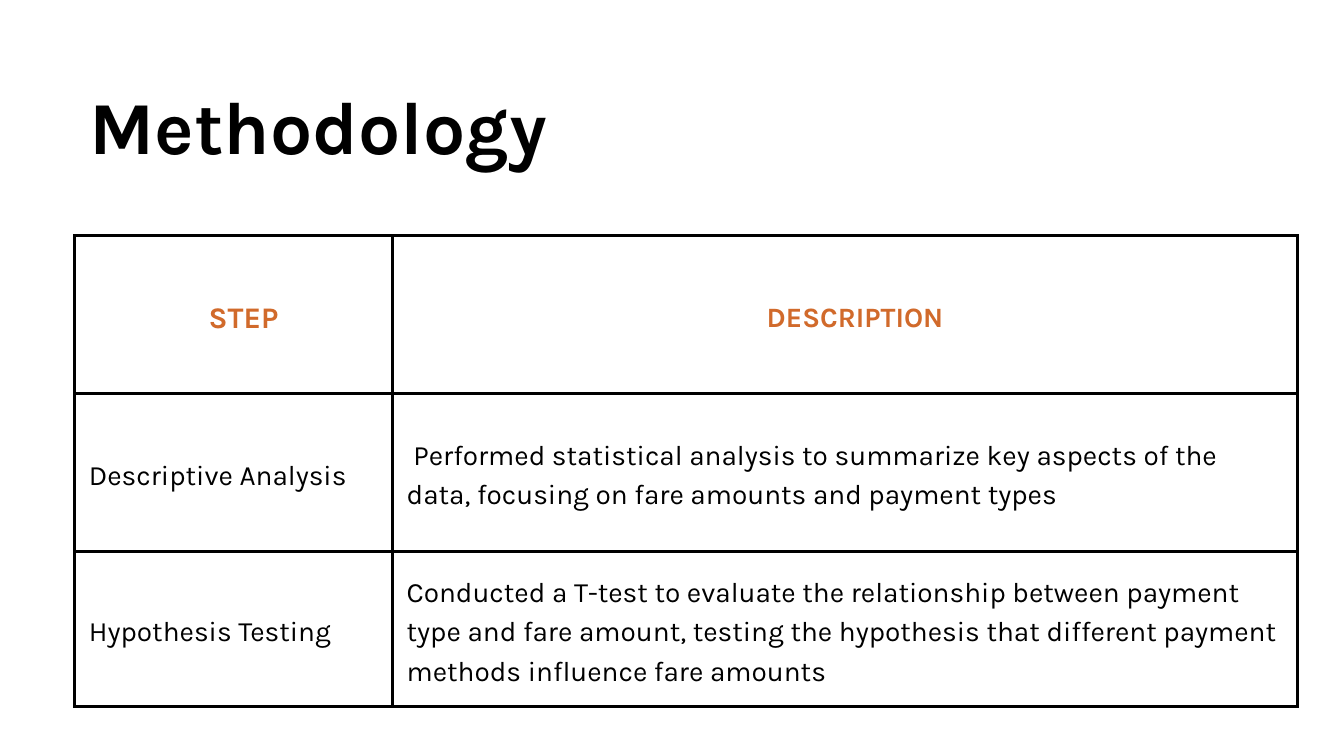
from lxml import etree
from pptx import Presentation
from pptx import util as u
from pptx.dml.color import RGBColor
from pptx.enum import text
from pptx.oxml import ns

PX = 9525  # EMU in one px, 96 px to the inch
FONT = "Karla"
BLACK, ORANGE, WHITE = "000000", "D16A2B", "FFFFFF"

COLUMNS = [454, 1293]
ROWS = [225, 226, 222]
CELL_INSET = 20
HEADER_SHIFT = 28  # moves the headings right of the column centre
HEADER_SIZES = [32, 30]
STEPS = [
    ("STEP", "DESCRIPTION"),
    ("Descriptive Analysis",
     " Performed statistical analysis to summarize key aspects of the data, "
     "focusing on fare amounts and payment types"),
    ("Hypothesis Testing",
     "Conducted a T-test to evaluate the relationship between payment type "
     "and fare amount, testing the hypothesis that different payment methods "
     "influence fare amounts"),
]


def px(length):
    return u.Emu(length * PX)


def color(hex_code):
    return RGBColor.from_string(hex_code)


def set_insets(box, left, top, right, bottom):
    box.margin_left, box.margin_top = px(left), px(top)
    box.margin_right, box.margin_bottom = px(right), px(bottom)


def format_paragraph(paragraph, size, hex_code, bold, align):
    paragraph.alignment = align
    paragraph.line_spacing = u.Pt(round(size * 1.4, 1))
    for run in paragraph.runs:
        run.font.name = FONT
        run.font.size = u.Pt(size)
        run.font.bold = bold
        run.font.color.rgb = color(hex_code)


def add_borders(cell, hex_code, points):
    properties = cell._tc.get_or_add_tcPr()
    for side in ("lnL", "lnR", "lnT", "lnB"):
        line = etree.SubElement(properties, ns.qn(f"a:{side}"), w=str(u.Pt(points)))
        fill = etree.SubElement(line, ns.qn("a:solidFill"))
        etree.SubElement(fill, ns.qn("a:srgbClr"), val=hex_code)


def set_title(slide, wording):
    title = slide.shapes.title
    title.left, title.top, title.width, title.height = map(px, (107, 92, 696, 144))
    frame = title.text_frame
    frame.text = wording
    frame.word_wrap = True
    frame.auto_size = text.MSO_AUTO_SIZE.SHAPE_TO_FIT_TEXT
    frame.vertical_anchor = text.MSO_ANCHOR.TOP
    set_insets(frame, 0, 0, 0, 0)
    format_paragraph(frame.paragraphs[0], 80, BLACK, True, text.PP_ALIGN.CENTER)


def fill_cell(cell, wording, size, is_header):
    cell.text_frame.text = wording
    cell.vertical_anchor = text.MSO_ANCHOR.MIDDLE
    left = CELL_INSET + (HEADER_SHIFT if is_header else 0)
    set_insets(cell, left, CELL_INSET, CELL_INSET, CELL_INSET)
    format_paragraph(
        cell.text_frame.paragraphs[0], size,
        ORANGE if is_header else BLACK, is_header,
        text.PP_ALIGN.CENTER if is_header else text.PP_ALIGN.LEFT)
    add_borders(cell, BLACK, 3.75)
    cell.fill.background()


def add_steps_table(slide):
    frame = slide.shapes.add_table(
        len(ROWS), len(COLUMNS), px(107), px(337), px(sum(COLUMNS)), px(sum(ROWS)))
    table = frame.table
    table.first_row = table.horz_banding = False
    for column, width in zip(table.columns, COLUMNS):
        column.width = px(width)
    for row, height in zip(table.rows, ROWS):
        row.height = px(height)
    for r, step in enumerate(STEPS):
        for c, wording in enumerate(step):
            size = HEADER_SIZES[c] if r == 0 else 30
            fill_cell(table.cell(r, c), wording, size, r == 0)


def main():
    presentation = Presentation()
    presentation.slide_width, presentation.slide_height = px(1920), px(1080)
    slide = presentation.slides.add_slide(presentation.slide_layouts[5])
    slide.background.fill.solid()
    slide.background.fill.fore_color.rgb = color(WHITE)

    # Heading
    set_title(slide, "Methodology")

    # Steps and their descriptions
    add_steps_table(slide)

    presentation.save("out.pptx")


if __name__ == "__main__":
    main()
